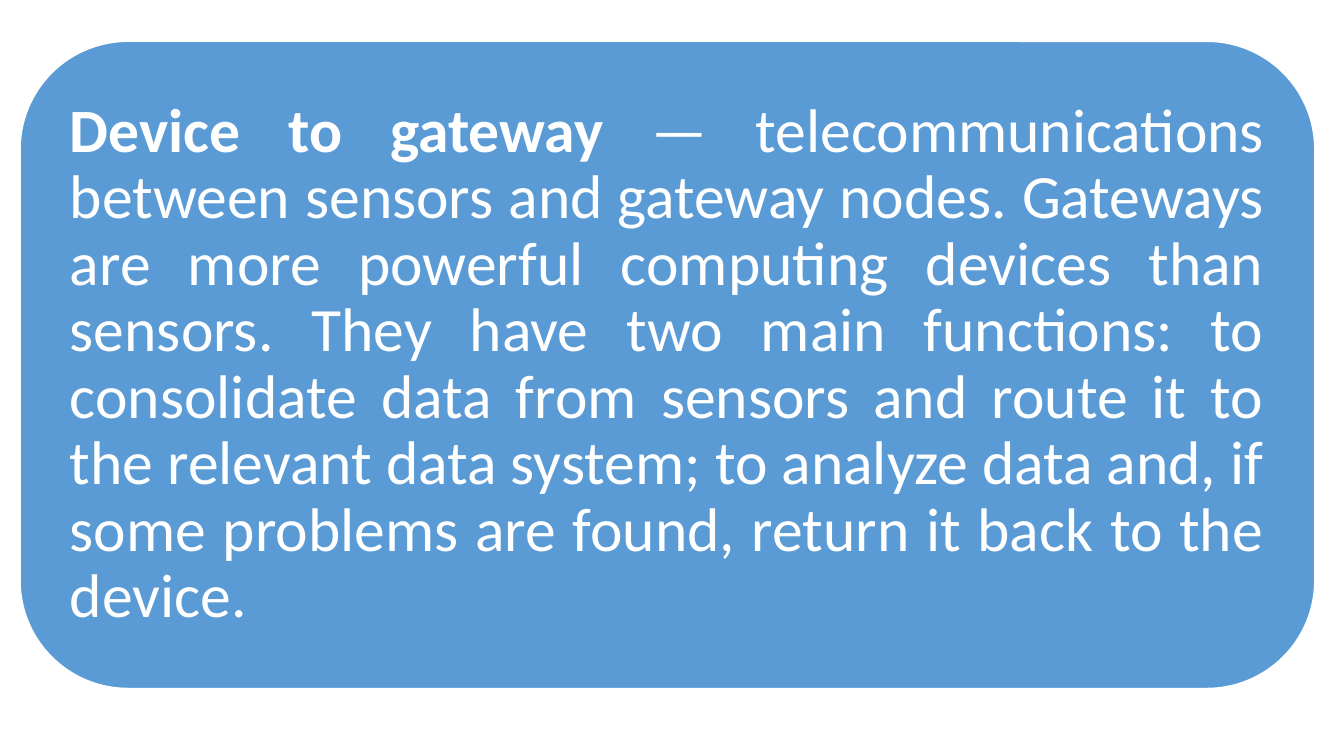
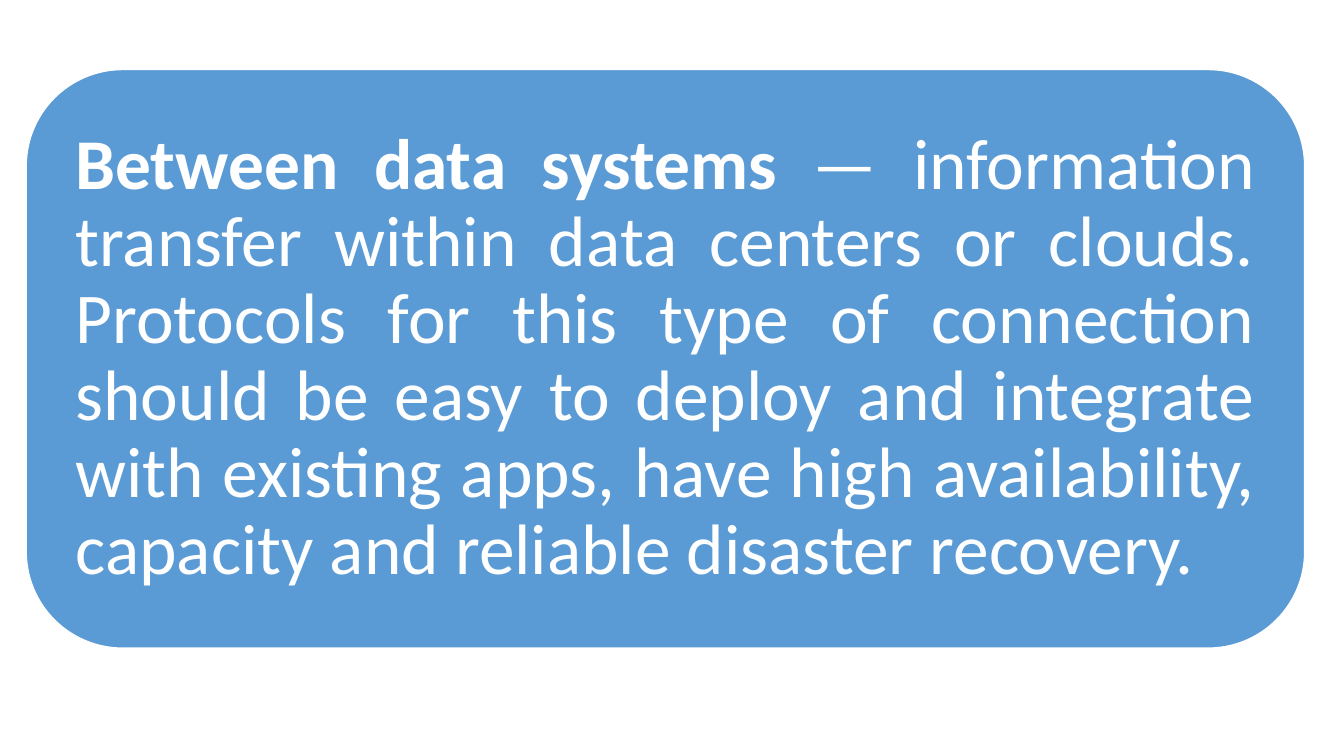
"""Build two slides, each with one rounded panel defining a type of connection."""
from dataclasses import dataclass

import pptx
import pptx.dml.color
import pptx.enum.shapes
import pptx.enum.text
import pptx.presentation
import pptx.util
from pptx.util import Inches

BLUE = pptx.dml.color.RGBColor(0x5B, 0x9B, 0xD5)
WHITE = pptx.dml.color.RGBColor(0xFF, 0xFF, 0xFF)
FONT = "Calibri"
BLANK_LAYOUT = 6


@dataclass(frozen=True)
class Panel:
    left: float
    top: float
    width: float
    height: float
    inset: float
    size: int
    term: str
    meaning: str


PANELS = (
    Panel(
        0.2, 0.41, 12.84, 6.42, 0.18, 44,
        "Device to gateway",
        " — telecommunications between sensors and gateway nodes. "
        "Gateways are more powerful computing devices than sensors. "
        "They have two main functions: to consolidate data from sensors "
        "and route it to the relevant data system; to analyze data and, "
        "if some problems are found, return it back to the device.",
    ),
    Panel(
        0.26, 0.69, 12.68, 5.74, 0.21, 51,
        "Between data systems",
        " — information transfer within data centers or clouds. "
        "Protocols for this type of connection should be easy to deploy "
        "and integrate with existing apps, have high availability, "
        "capacity and reliable disaster recovery.",
    ),
)


def set_all(target: object, values: dict[str, object]) -> None:
    for name, value in values.items():
        setattr(target, name, value)


def add_panel_slide(prs: pptx.presentation.Presentation, panel: Panel) -> None:
    s = prs.slides.add_slide(prs.slide_layouts[BLANK_LAYOUT])
    sp = s.shapes.add_shape(
        pptx.enum.shapes.MSO_SHAPE.ROUNDED_RECTANGLE,
        Inches(panel.left), Inches(panel.top),
        Inches(panel.width), Inches(panel.height),
    )
    sp.shadow.inherit = False
    sp.fill.solid()
    sp.fill.fore_color.rgb = BLUE
    sp.line.color.rgb = WHITE
    sp.line.width = pptx.util.Pt(1)

    tf = sp.text_frame
    sides = ("left", "top", "right", "bottom")
    set_all(tf, {f"margin_{side}": Inches(panel.inset) for side in sides})
    set_all(tf, {
        "word_wrap": True,
        "vertical_anchor": pptx.enum.text.MSO_ANCHOR.MIDDLE,
    })
    p = tf.paragraphs[0]
    set_all(p, {
        "alignment": pptx.enum.text.PP_ALIGN.JUSTIFY,
        "line_spacing": 0.9,
    })
    for text, bold in ((panel.term, True), (panel.meaning, False)):
        r = p.add_run()
        r.text = text
        set_all(r.font, {
            "name": FONT, "size": pptx.util.Pt(panel.size), "bold": bold,
        })
        r.font.color.rgb = WHITE


def main() -> None:
    prs = pptx.Presentation()
    set_all(prs, {"slide_width": Inches(13.33), "slide_height": Inches(7.5)})
    for panel in PANELS:
        add_panel_slide(prs, panel)
    prs.save("out.pptx")


if __name__ == "__main__":
    main()
